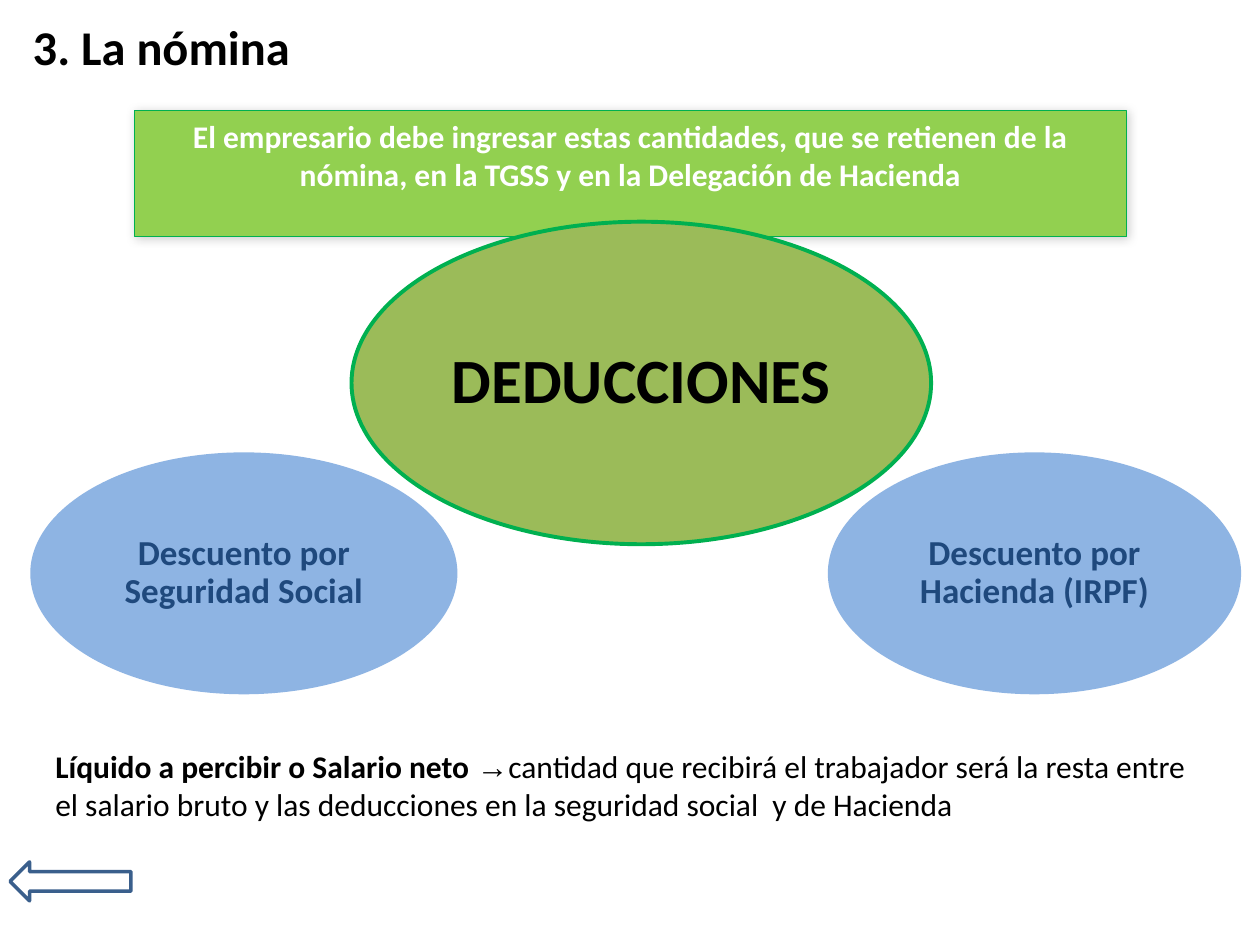
from lxml.etree import SubElement as Sub
from pptx import Presentation
from pptx.dml.color import RGBColor as Rgb
from pptx.enum.shapes import MSO_SHAPE as Kind
from pptx.enum.text import MSO_ANCHOR as Anchor, MSO_AUTO_SIZE as Auto, PP_ALIGN as Align
from pptx.oxml.ns import qn
from pptx.util import Inches, Pt

COLS, ROWS = 100, 75


def paint(part, tone):
    """Give a fill or a font a colour from a hex string."""
    if hasattr(part, "solid"):
        part.solid()
        part.fore_color.rgb = Rgb.from_string(tone)
    else:
        part.color.rgb = Rgb.from_string(tone)


class Deck:
    """Holds the style and the current slide, measured on a 100 by 75 grid."""

    def __init__(self, font="Calibri"):
        """Open a blank 10 by 7.5 inch deck."""
        self.font = font
        self.prs = Presentation()
        self.prs.slide_width, self.prs.slide_height = Inches(10), Inches(7.5)
        self.slide = self.prs.slides.add_slide(self.prs.slide_layouts[5])

    def area(self, col, row, wide, high):
        """Turn grid columns and rows into slide lengths."""
        dx, dy = self.prs.slide_width / COLS, self.prs.slide_height / ROWS
        return [round(n) for n in (col * dx, row * dy, wide * dx, high * dy)]

    def style(self, run, size, tone, bold=True, font=None):
        """Format one run."""
        run.font.name, run.font.size, run.font.bold = font or self.font, Pt(size), bold
        paint(run.font, tone)

    def frame(self, shape, anchor, pad=0.1):
        """Set wrapping, anchor and margins of a shape and return its text frame."""
        box = shape.text_frame
        box.word_wrap, box.auto_size, box.vertical_anchor = True, Auto.NONE, anchor
        box.margin_left = box.margin_right = Inches(pad)
        box.margin_top = box.margin_bottom = Inches(min(pad, 0.05))
        return box

    def title(self, text, area):
        """Place and format the title."""
        shape = self.slide.shapes.title
        shape.left, shape.top, shape.width, shape.height = self.area(*area)
        box = self.frame(shape, Anchor.MIDDLE)
        box.text = text
        box.paragraphs[0].alignment = Align.LEFT
        self.style(box.paragraphs[0].runs[0], 27.7, "000000")

    def shape(self, kind, area, fill=None, line=None, width=1):
        """Draw a preset shape with optional fill and outline."""
        shape = self.slide.shapes.add_shape(kind, *self.area(*area))
        shape.shadow.inherit = False
        if fill:
            paint(shape.fill, fill)
        else:
            shape.fill.background()
        if line:
            paint(shape.line, line)
            shape.line.width = Pt(width)
        else:
            shape.line.fill.background()
        return shape

    def label(self, shape, text, size, tone, anchor=Anchor.MIDDLE, pad=0.03, tight=0.9, after=0):
        """Write centred bold text in a shape."""
        box = self.frame(shape, anchor, pad)
        box.text = text
        para = box.paragraphs[0]
        para.alignment, para.line_spacing = Align.CENTER, tight
        para.space_after = Pt(after)
        self.style(para.runs[0], size, tone)

    def glow(self, shape):
        """Add a soft dark shadow around a shape."""
        list_ = shape._element.spPr.find(qn("a:effectLst"))
        soft = Sub(list_, qn("a:outerShdw"), blurRad=str(Pt(6)), dist="0", dir="0", rotWithShape="0")
        tone = Sub(soft, qn("a:srgbClr"), val="000000")
        Sub(tone, qn("a:alpha"), val="20000")

    def note(self, area, parts, size=18):
        """Write a text box from (text, bold, font) parts."""
        box = self.frame(self.slide.shapes.add_textbox(*self.area(*area)), Anchor.TOP)
        for text, bold, font in parts:
            run = box.paragraphs[0].add_run()
            run.text = text
            self.style(run, size, "000000", bold, font)


def main():
    """Build the slide on payroll deductions."""
    deck = Deck()
    deck.title("3. La nómina", (1.6, 0.5, 90, 6.3))
    deck.shape(Kind.LEFT_ARROW, (0.8, 68.4, 9.6, 3.1), line="3A5F8C", width=2)

    banner = deck.shape(Kind.RECTANGLE, (10.7, 8.8, 78.7, 10), "92D050", "00B050", 0.75)
    deck.glow(banner)
    deck.label(banner, "El empresario debe ingresar estas cantidades, que se retienen de la "
               "nómina, en la TGSS y en la Delegación de Hacienda",
               18, "FFFFFF", Anchor.TOP, 0.1, 1)

    hub = deck.shape(Kind.OVAL, (27.9, 17.6, 46, 25.6), "9BBB59", "00B050", 2.25)
    deck.label(hub, "DEDUCCIONES", 36, "000000", pad=0.05, after=12.6)

    for col, wide, text in ((65.7, 32.8, "Descuento por Hacienda (IRPF)"),
                            (2.4, 33.9, "Descuento por Seguridad Social")):
        oval = deck.shape(Kind.OVAL, (col, 35.9, wide, 19.2), "8EB4E3")
        deck.label(oval, text, 20, "1F497D", after=7)

    deck.note((3.4, 58.8, 92.1, 10), (
        ("Líquido a percibir o Salario neto ", True, None),
        ("→", True, "Arial"),
        ("cantidad que recibirá el trabajador será la resta entre el salario bruto "
         "y las deducciones en la seguridad social  y de Hacienda", False, None)))
    deck.prs.save("out.pptx")


if __name__ == "__main__":
    main()
